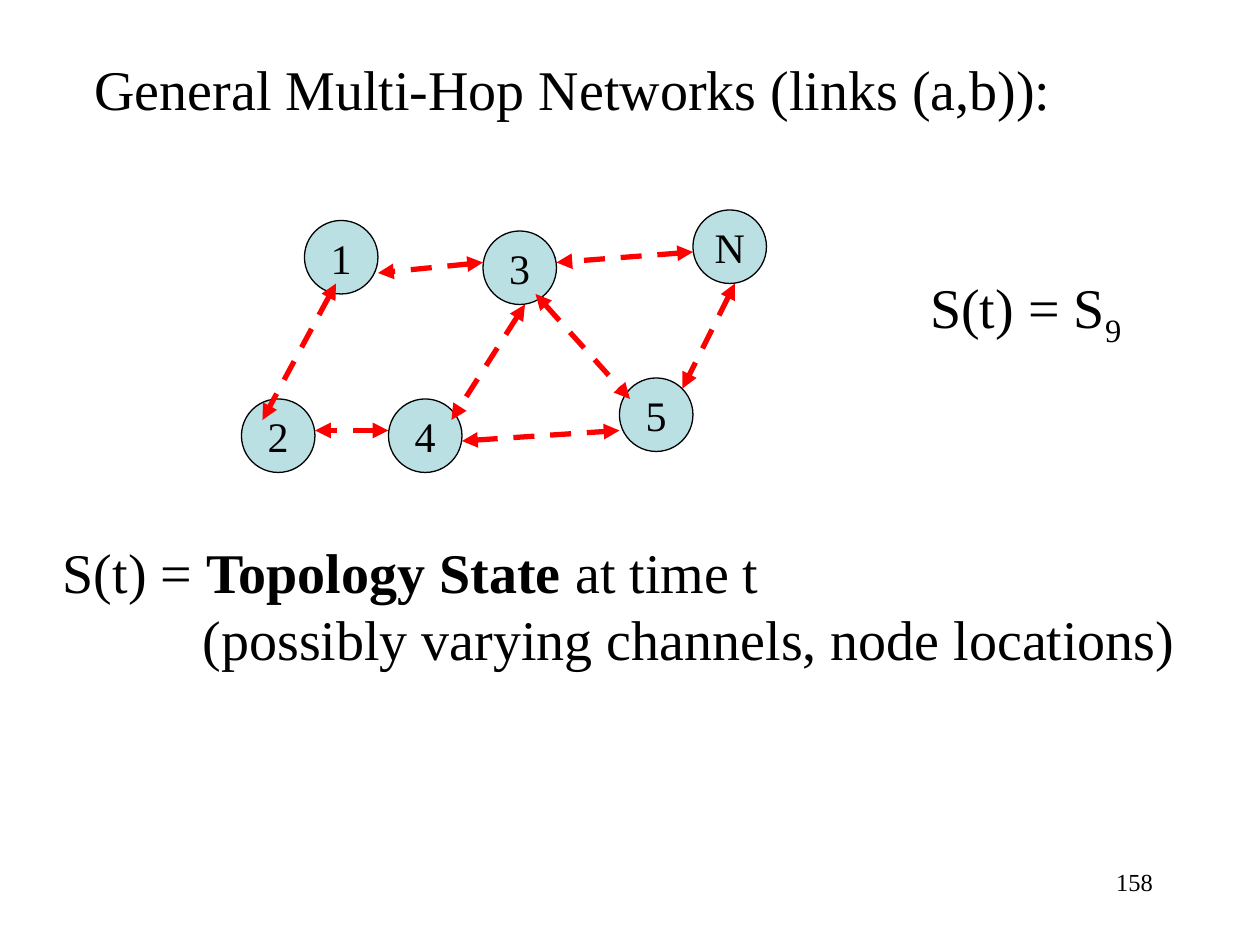
"""Build a slide showing a multi-hop network and its topology state."""
from pptx import Presentation, util as u
from pptx.dml.color import RGBColor
from pptx.enum import dml, shapes, text
from pptx.oxml.ns import qn
from lxml import etree

BLACK = RGBColor(0x00, 0x00, 0x00)
RED = RGBColor(0xFF, 0x00, 0x00)
PALE_BLUE = RGBColor(0xBB, 0xE0, 0xE3)
FONT = "Times New Roman"
COLUMNS, ROWS = 120, 90
WIDTH, HEIGHT = u.Inches(10), u.Inches(7.5)
NODE_SIZE = 7
NODES = {"1": (29, 21), "2": (23, 38), "3": (46, 22),
         "4": (37, 38), "N": (66, 20), "5": (59, 36)}
LINKS = [((32, 27), (25, 40)), ((50, 29), (43, 40)), ((66, 24), (53, 25)),
         ((70, 27), (65, 37)), ((37, 41), (30, 41)), ((51, 28), (60, 38)),
         ((46, 25), (36, 26)), ((44, 42), (59, 41))]


def across(columns):
    """Turn grid columns into a length."""
    return round(WIDTH * columns / COLUMNS)


def down(rows):
    """Turn grid rows into a length."""
    return round(HEIGHT * rows / ROWS)


def add_span(para, words, size, bold=False, subscript=False):
    """Add one formatted run to a paragraph."""
    span = para.add_run()
    span.text = words
    span.font.name, span.font.size = FONT, u.Pt(size)
    span.font.bold = bold
    span.font.color.rgb = BLACK
    if subscript:
        span.font._element.set("baseline", "-25000")


def set_frame(box, anchor=text.MSO_ANCHOR.TOP, align=text.PP_ALIGN.LEFT, wrap=False):
    """Set the frame of a text shape and return its first paragraph."""
    frame = box.text_frame
    frame.word_wrap = wrap
    frame.auto_size = text.MSO_AUTO_SIZE.NONE
    frame.vertical_anchor = anchor
    para = frame.paragraphs[0]
    para.alignment = align
    return para


def add_title(page, words):
    """Place and fill the title placeholder."""
    title = page.shapes.title
    title.left, title.top = across(7.8), down(4.6)
    title.width, title.height = across(94.9), down(7.7)
    add_span(set_frame(title), words, 32)


def add_box(page, left, top, width, height, **frame):
    """Add a text box on the grid and return it with its first paragraph."""
    box = page.shapes.add_textbox(across(left), down(top), across(width), down(height))
    return box, set_frame(box, **frame)


def add_node(page, label, left, top):
    """Add a labelled round network node."""
    node = page.shapes.add_shape(shapes.MSO_SHAPE.OVAL, across(left), down(top),
                                 across(NODE_SIZE), down(NODE_SIZE))
    node.shadow.inherit = False
    node.fill.solid()
    node.fill.fore_color.rgb = PALE_BLUE
    node.line.color.rgb, node.line.width = BLACK, u.Pt(0.75)
    para = set_frame(node, text.MSO_ANCHOR.MIDDLE, text.PP_ALIGN.CENTER)
    add_span(para, label, 24)


def add_link(page, start, end):
    """Add a dashed two-way arrow between two grid points."""
    link = page.shapes.add_connector(shapes.MSO_CONNECTOR.STRAIGHT,
                                     across(start[0]), down(start[1]),
                                     across(end[0]), down(end[1]))
    link.line.color.rgb, link.line.width = RED, u.Pt(3)
    link.line.dash_style = dml.MSO_LINE.DASH
    outline = link.line._get_or_add_ln()
    for tip in ("a:headEnd", "a:tailEnd"):
        etree.SubElement(outline, qn(tip), type="triangle")
    etree.SubElement(link._element.spPr, qn("a:effectLst"))


def add_definition(page):
    """Explain the topology state in two lines."""
    box, para = add_box(page, 4.8, 50.6, 108.5, 14)
    add_span(para, "S(t) = ", 32)
    add_span(para, "Topology State", 32, bold=True)
    add_span(para, " at time t", 32)
    para = box.text_frame.add_paragraph()
    para._p.get_or_add_pPr().set("marL", str(u.Inches(1.11)))
    add_span(para, "(possibly varying channels, node locations)", 32)


def main():
    """Build and save the slide."""
    deck = Presentation()
    deck.slide_width, deck.slide_height = WIDTH, HEIGHT
    page = deck.slides.add_slide(deck.slide_layouts.get_by_name("Title Only"))
    add_title(page, "General Multi-Hop Networks (links (a,b)):")
    add_definition(page)
    for label, (left, top) in NODES.items():
        add_node(page, label, left, top)
    for start, end in LINKS:
        add_link(page, start, end)
    para = add_box(page, 87.4, 25.4, 20.5, 8.5)[1]
    add_span(para, "S(t) = S", 32)
    add_span(para, "9", 32, subscript=True)
    para = add_box(page, 86, 82, 25, 6, align=text.PP_ALIGN.RIGHT, wrap=True)[1]
    add_span(para, "158", 14)
    deck.save("out.pptx")


if __name__ == "__main__":
    main()
